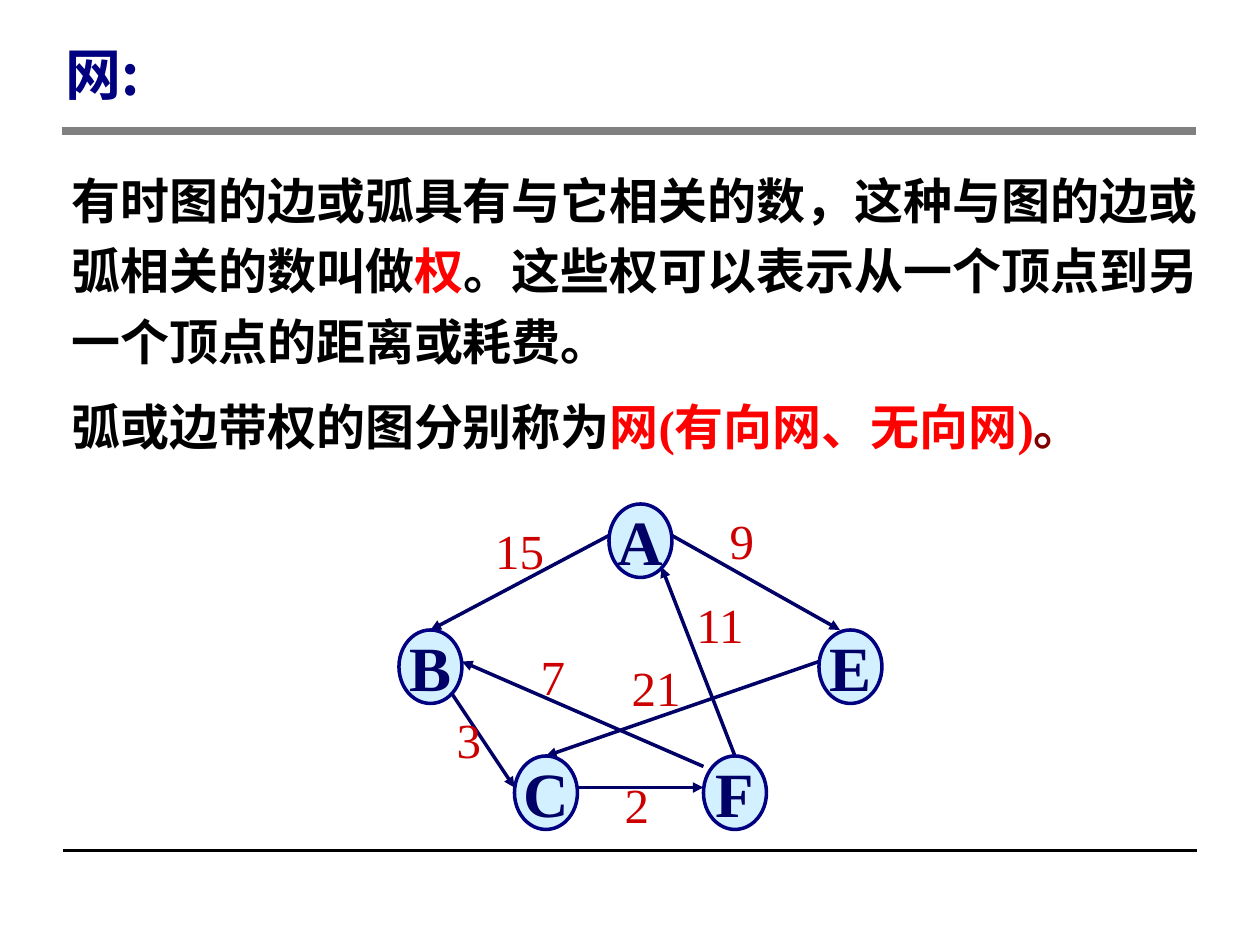
from lxml import etree
from pptx import Presentation, util as u
from pptx.dml.color import RGBColor
from pptx.enum import shapes, text
from pptx.oxml.ns import qn

# Content
INK = dict(navy="000080", deep="000066", red="FF0000", dark="800000",
           label="CC0000", sky="A7E2FF", gray="808080", black="000000")
LATIN, HAN = "Times New Roman", "Noto Sans CJK SC"
TITLE = [[("网:", "navy")]]
BODY = [
    [("有时图的边或弧具有与它相关的数，这种与图的边或弧相关的数叫做", "black"),
     ("权", "red"),
     ("。这些权可以表示从一个顶点到另一个顶点的距离或耗费。", "black")],
    [("弧或边带权的图分别称为", "black"), ("网(有向网、无向网)", "red"),
     ("。", "dark")],
]
RULES = [(0.5, 6.75, "black", 2), (0.49, 1.04, "gray", 5)]  # left, top

# Graph on a grid of twelve cells to the inch
CELL = 1 / 12
NODE_W, NODE_H = 6, 7
NODES = dict(A=(58, 48), B=(38, 60), E=(78, 60), C=(49, 72), F=(67, 72))
# tail node, offset in it; head node, offset in it; weight, its right and top
ARCS = [
    ("A", (0, 3), "B", (3, 0), "15", (53, 49)),
    ("B", (5, 6), "C", (0, 3), "3", (47, 67)),
    ("C", (6, 3), "F", (0, 3), "2", (63, 73.2)),
    ("F", (3, 0), "A", (5, 6), "11", (72, 56)),
    ("A", (6, 3), "E", (2, 0), "9", (73, 48)),
    ("F", (0, 1), "B", (6, 3), "7", (55, 61)),
    ("E", (0, 3), "C", (3, 0), "21", (66, 62)),
]

prs = Presentation()
prs.slide_width, prs.slide_height = u.Inches(10), u.Inches(7.5)
page = prs.slides.add_slide(prs.slide_layouts[6]).shapes


def rgb(name):
    return RGBColor.from_string(INK[name])


def write(shape, paras, size, bold=False, font=LATIN, align=None,
          mid=False, wrap=True, lead=None, gap=0):
    frame = shape.text_frame
    frame.word_wrap = wrap
    frame.vertical_anchor = (text.MSO_ANCHOR.MIDDLE if mid
                             else text.MSO_ANCHOR.TOP)
    for i, runs in enumerate(paras):
        para = frame.add_paragraph() if i else frame.paragraphs[0]
        para.alignment = align
        para.line_spacing = lead
        if i:
            para.space_before = u.Pt(gap)
        for words, ink in runs:
            run = para.add_run()
            run.text = words
            run.font.size, run.font.bold = u.Pt(size), bold
            run.font.name = font
            run.font.color.rgb = rgb(ink)
            east = etree.SubElement(run.font._element, qn("a:ea"))
            east.set("typeface", HAN)


def box(*at):
    return page.add_textbox(*map(u.Inches, at))


def line(start, end, ink, width, arrow=False):
    link = page.add_connector(shapes.MSO_CONNECTOR.STRAIGHT,
                              *map(u.Inches, (*start, *end)))
    link.line.color.rgb, link.line.width = rgb(ink), u.Pt(width)
    if arrow:
        etree.SubElement(link.line._get_or_add_ln(),
                         qn("a:tailEnd")).set("type", "triangle")
    etree.SubElement(link._element.spPr, qn("a:effectLst"))


def spot(name, shift):
    return [(a + b) * CELL for a, b in zip(NODES[name], shift)]


# Rules
for left, top, ink, width in RULES:
    line((left, top), (left + 9, top), ink, width)

# Arcs
for tail, out, head, into, *_ in ARCS:
    line(spot(tail, out), spot(head, into), "deep", 2, arrow=True)

# Nodes
for name in NODES:
    oval = page.add_shape(shapes.MSO_SHAPE.OVAL, *map(
        u.Inches, (*spot(name, (0, 0)), NODE_W * CELL, NODE_H * CELL)))
    oval.shadow.inherit = False
    oval.fill.solid()
    oval.fill.fore_color.rgb = rgb("sky")
    tint = oval._element.spPr.find(qn("a:solidFill"))[0]
    etree.SubElement(tint, qn("a:alpha")).set("val", "50000")
    oval.line.color.rgb, oval.line.width = rgb("navy"), u.Pt(2)
    write(oval, [[(name, "deep")]], 36, bold=True, mid=True, wrap=False,
          align=text.PP_ALIGN.CENTER)

# Weights
for *_, weight, (right, top) in ARCS:
    wide = 0.2 + 0.2 * len(weight)
    write(box(right * CELL - wide, top * CELL, wide, 0.57),
          [[(weight, "label")]], 28, wrap=False, align=text.PP_ALIGN.RIGHT)

# Title and body
write(box(0.42, 0.27, 9.17, 0.6), TITLE, 32, bold=True, font=HAN,
      mid=True, lead=u.Pt(40))
write(box(0.47, 1.21, 9.17, 2.5), BODY, 28, bold=True, lead=1.2, gap=8.4)

prs.save("out.pptx")
